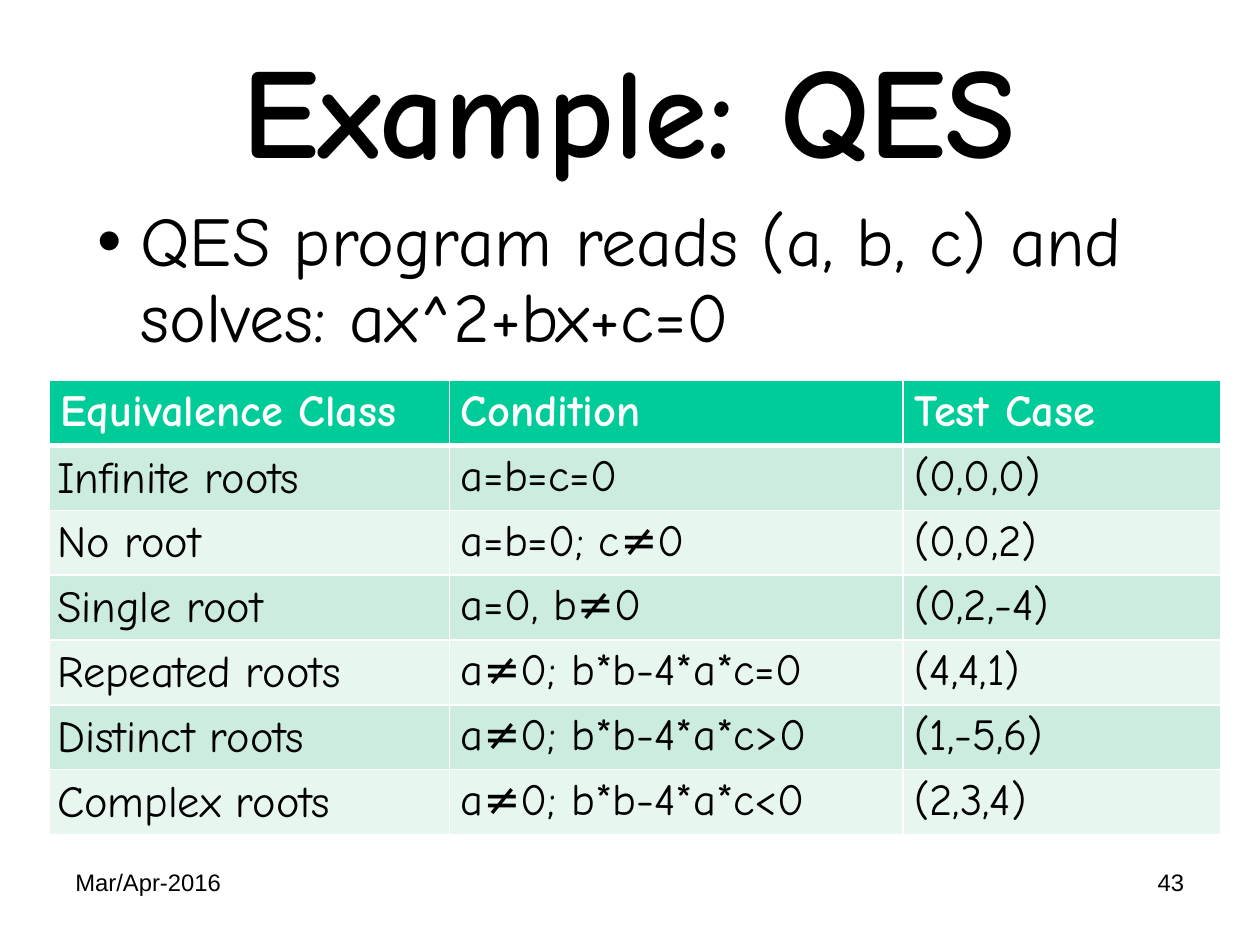
import pptx
import pptx.util
import pptx.dml.color
import pptx.enum.text
import pptx.oxml.ns
import lxml.etree

Inches = pptx.util.Inches
Pt = pptx.util.Pt
Align = pptx.enum.text.PP_ALIGN
Anchor = pptx.enum.text.MSO_ANCHOR
qn = pptx.oxml.ns.qn

colors = {
    "text": "000000",
    "white": "FFFFFF",
    "header": "00CC99",
    "odd": "CBECDE",
    "even": "E7F6EF",
}


def style(para, size, font, color, bold=False):
    para.font.size = Pt(size)
    para.font.name = font
    para.font.bold = bold
    para.font.color.rgb = pptx.dml.color.RGBColor.from_string(colors[color])


def add_text(text, left, top, width, height, size, font, inset, align=Align.LEFT, bold=False):
    box = page.shapes.add_textbox(Inches(left), Inches(top), Inches(width), Inches(height))
    frame = box.text_frame
    frame.word_wrap = True
    frame.margin_left = frame.margin_right = Inches(inset)
    frame.margin_top = frame.margin_bottom = Inches(0.06)
    para = frame.paragraphs[0]
    para.text = text
    para.alignment = align
    style(para, size, font, "text", bold)
    return frame


deck = pptx.Presentation()
deck.slide_width = Inches(28 / 2.54)
deck.slide_height = Inches(21 / 2.54)
page = deck.slides.add_slide(deck.slide_layouts[6])

title = add_text("Example: QES", 0.55, -0.05, 9.91, 2.14, 81, "Comic Neue", 0.02, Align.CENTER, True)
title.vertical_anchor = Anchor.MIDDLE
title.paragraphs[0].line_spacing = 0.91

body = add_text("QES program reads (a, b, c) and solves: ax^2+bx+c=0",
                0.83, 1.74, 9.37, 4.96, 44, "Comic Neue", 0.02)
body.paragraphs[0].line_spacing = 0.91
bullet_props = body.paragraphs[0]._p.get_or_add_pPr()
bullet_props.set("marL", str(Inches(0.38)))
bullet_props.set("indent", str(-Inches(0.38)))
for tag, name, value in (("a:buFont", "typeface", "Arial"), ("a:buChar", "char", "•")):
    bullet = lxml.etree.Element(qn(tag), {name: value})
    bullet_props.insert_element_before(bullet, "a:tabLst", "a:defRPr", "a:extLst")

rows = [
    ("Equivalence Class", "Condition", "Test Case"),
    ("Infinite roots", "a=b=c=0", "(0,0,0)"),
    ("No root", "a=b=0; c≠0", "(0,0,2)"),
    ("Single root", "a=0, b≠0", "(0,2,-4)"),
    ("Repeated roots", "a≠0; b*b-4*a*c=0", "(4,4,1)"),
    ("Distinct roots", "a≠0; b*b-4*a*c>0", "(1,-5,6)"),
    ("Complex roots", "a≠0; b*b-4*a*c<0", "(2,3,4)"),
]
widths = [3.5, 3.97, 2.78]
table_height = 3.96
table = page.shapes.add_table(len(rows), len(widths), Inches(0.43), Inches(3.33),
                              Inches(sum(widths)), Inches(table_height)).table
for column, width in zip(table.columns, widths):
    column.width = Inches(width)

for row_index, row in enumerate(rows):
    table.rows[row_index].height = Inches(table_height / len(rows))
    is_header = row_index == 0
    fill = "header" if is_header else ("even", "odd")[row_index % 2]
    for column_index, text in enumerate(row):
        cell = table.cell(row_index, column_index)
        is_class = column_index == 0 and not is_header
        cell.margin_left = cell.margin_right = Inches(0.07 if is_class else 0.1)
        cell.margin_top = cell.margin_bottom = Inches(0 if is_class else 0.05)
        cell.fill.solid()
        cell.fill.fore_color.rgb = pptx.dml.color.RGBColor.from_string(colors[fill])
        para = cell.text_frame.paragraphs[0]
        para.text = text
        style(para, 28, "Comic Neue", "white" if is_header else "text", is_header)
        if is_class:
            para.line_spacing = 1.15
        thick_side = {0: "lnB", 1: "lnT"}.get(row_index)
        for position, side in enumerate(("lnL", "lnR", "lnT", "lnB")):
            border = lxml.etree.Element(qn("a:" + side), w=str(Pt(3 if side == thick_side else 1)))
            solid = lxml.etree.SubElement(border, qn("a:solidFill"))
            lxml.etree.SubElement(solid, qn("a:srgbClr"), val=colors["white"])
            cell._tc.get_or_add_tcPr().insert(position, border)

add_text("Mar/Apr-2016", 0.55, 7.53, 2.56, 0.57, 15, "Arial", 0.11)
add_text("43", 7.9, 7.53, 2.57, 0.57, 15, "Arial", 0.11, Align.RIGHT)

deck.save("out.pptx")
